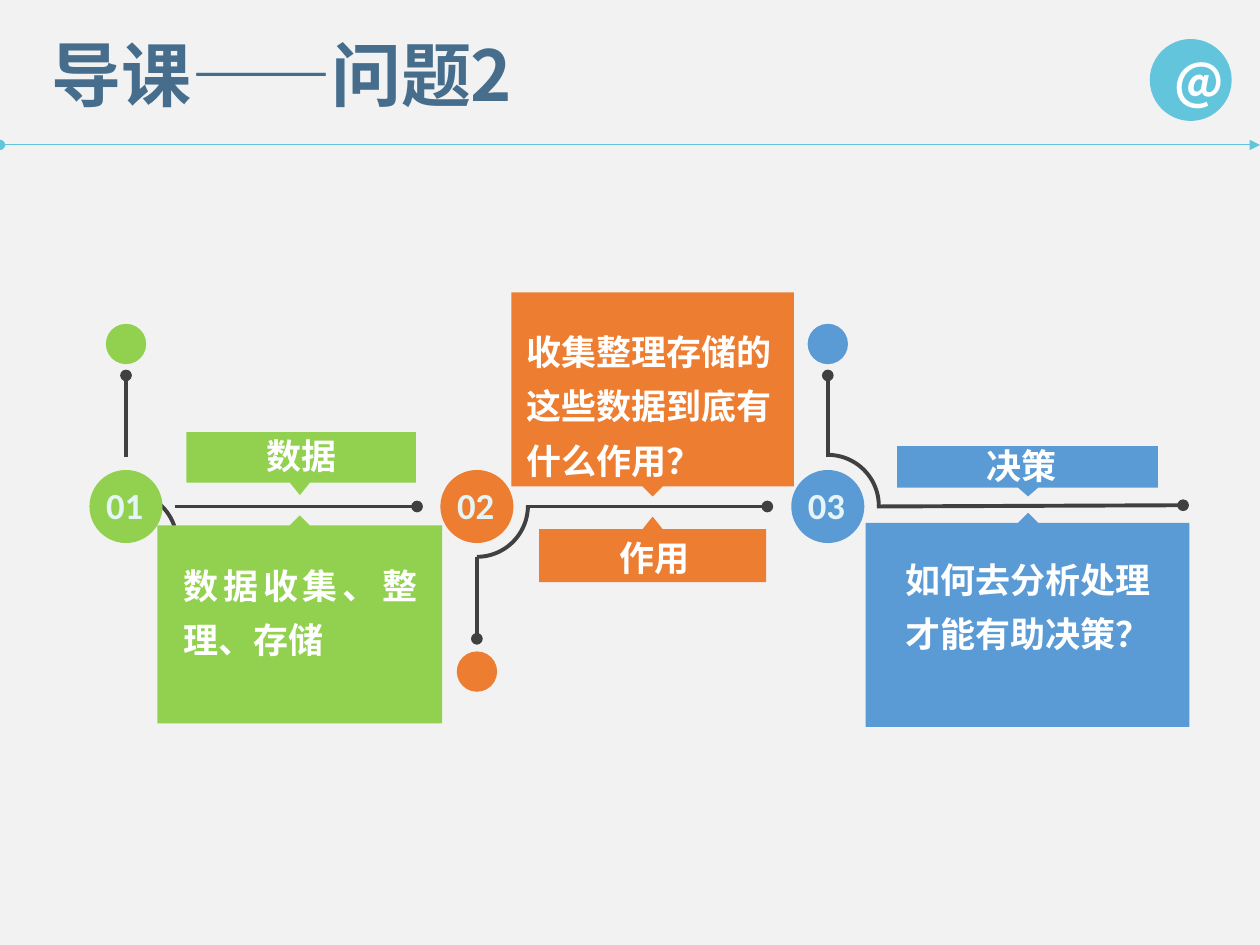
import dataclasses

import pptx
import pptx.dml.color
import pptx.enum.shapes
import pptx.enum.text
import pptx.oxml
import pptx.oxml.ns
import pptx.util

Inches = pptx.util.Inches
Pt = pptx.util.Pt
ALIGN = pptx.enum.text.PP_ALIGN
SHAPE = pptx.enum.shapes.MSO_SHAPE


@dataclasses.dataclass(frozen=True)
class Theme:
    background: str = "F2F2F2"
    title: str = "466E8C"
    accent: str = "62C5DC"
    line: str = "404040"
    white: str = "FFFFFF"
    number: str = "E5F5F7"
    green: str = "92D050"
    orange: str = "ED7D31"
    blue: str = "5B9BD5"
    cjk_font: str = "Noto Sans CJK SC"
    number_font: str = "Calibri"
    title_size: float = 40
    badge_size: float = 28
    text_size: float = 20
    number_size: float = 21
    line_width: float = 2.25
    body_leading: float = 1.3


THEME = Theme()
AXIS_Y = 4.02
FIRST_CENTRE = 1.0
STEP_GAP = 2.785


@dataclasses.dataclass(frozen=True)
class Callout:
    """A box whose pointer tip lies above or below its body."""
    left: float
    top: float
    width: float
    height: float
    tip_y: float
    text: str
    text_area: tuple
    align: object = ALIGN.CENTER
    label: bool = False


@dataclasses.dataclass(frozen=True)
class Step:
    number: str
    colour: str
    pointer_x: float
    rises: bool
    arc_top: float
    line_end: tuple
    callouts: tuple


STEPS = (
    Step("01", THEME.green, 2.38, True, 3.9, (3.31, 4.02), (
        Callout(1.48, 3.43, 1.82, 0.4, 3.93, "数据", (2.01, 3.4, 0.77, 0.44), label=True),
        Callout(1.25, 4.17, 2.26, 1.57, 4.09, "数据收集、整理、存储",
                (1.36, 4.33, 2.05, 0.97), ALIGN.JUSTIFY),
    )),
    Step("02", THEME.orange, 5.18, False, 3.61, (6.09, 4.02), (
        Callout(4.28, 4.2, 1.8, 0.42, 4.1, "作用", (4.81, 4.21, 0.77, 0.44), label=True),
        Callout(4.06, 2.32, 2.24, 1.54, 3.94, "收集整理存储的这些数据到底有什么作用？",
                (4.08, 2.47, 2.35, 1.35), ALIGN.LEFT),
    )),
    Step("03", THEME.blue, 8.16, True, 3.61, (9.39, 4.01), (
        Callout(7.12, 3.54, 2.07, 0.33, 3.94, "决策", (7.72, 3.48, 0.77, 0.44), label=True),
        Callout(6.87, 4.15, 2.57, 1.62, 4.07, "如何去分析处理才能有助决策？",
                (6.99, 4.28, 2.34, 0.91)),
    )),
)


def rgb(colour):
    return pptx.dml.color.RGBColor.from_string(colour)


def fill_plain(shape, colour):
    shape.shadow.inherit = False
    shape.fill.solid()
    shape.fill.fore_color.rgb = rgb(colour)
    shape.line.fill.background()


def write_text(shape, text, size, colour, align, font=THEME.cjk_font, leading=None):
    frame = shape.text_frame
    frame.text = text
    para = frame.paragraphs[0]
    para.alignment = align
    if leading:
        para.line_spacing = leading
    span = para.runs[0]
    span.font.size = Pt(size)
    span.font.bold = True
    span.font.name = font
    span.font.color.rgb = rgb(colour)
    east_asian = pptx.oxml.parse_xml(
        f'<a:ea {pptx.oxml.ns.nsdecls("a")} typeface="{font}"/>')
    span.font._element.find(pptx.oxml.ns.qn("a:latin")).addnext(east_asian)


def add_text(page, area, text, size, colour, align=ALIGN.CENTER, wrap=False, **style):
    box = page.shapes.add_textbox(*map(Inches, area))
    box.text_frame.word_wrap = wrap
    write_text(box, text, size, colour, align, **style)


def add_line(page, start, end, colour, width, **ends):
    """Draw a line; ends may give headEnd and tailEnd types."""
    line = page.shapes.add_connector(
        pptx.enum.shapes.MSO_CONNECTOR.STRAIGHT, *map(Inches, start + end))
    line.line.color.rgb = rgb(colour)
    line.line.width = Pt(width)
    outline = line.line._get_or_add_ln()
    for tag, kind in ends.items():
        outline.append(pptx.oxml.parse_xml(
            f'<a:{tag} {pptx.oxml.ns.nsdecls("a")} type="{kind}"/>'))
    line._element.spPr.append(pptx.oxml.parse_xml(
        f'<a:effectLst {pptx.oxml.ns.nsdecls("a")}/>'))


def add_circle(page, centre_x, centre_y, diameter, colour):
    circle = page.shapes.add_shape(
        SHAPE.OVAL, Inches(centre_x - diameter / 2), Inches(centre_y - diameter / 2),
        Inches(diameter), Inches(diameter))
    fill_plain(circle, colour)
    return circle


def add_arc(page, centre_x, top, flipped):
    size = 0.81
    arc = page.shapes.add_shape(
        SHAPE.ARC, Inches(centre_x - size / 2), Inches(top), Inches(size), Inches(size))
    arc.shadow.inherit = False
    arc.fill.background()
    arc.line.color.rgb = rgb(THEME.line)
    arc.line.width = Pt(THEME.line_width)
    if flipped:
        arc._element.spPr.xfrm.set("flipV", "1")


def add_callout(page, callout, pointer_x, colour):
    right, bottom = callout.left + callout.width, callout.top + callout.height
    near, far = (callout.top, bottom) if callout.tip_y < callout.top else (bottom, callout.top)
    points = [(callout.left, near), (pointer_x - 0.08, near), (pointer_x, callout.tip_y),
              (pointer_x + 0.08, near), (right, near), (right, far), (callout.left, far)]
    corners = [(Inches(x), Inches(y)) for x, y in points]
    builder = page.shapes.build_freeform(*corners[0])
    builder.add_line_segments(corners[1:], close=True)
    fill_plain(builder.convert_to_shape(), colour)
    add_text(page, callout.text_area, callout.text, THEME.text_size, THEME.white,
             callout.align, wrap=not callout.label,
             leading=None if callout.label else THEME.body_leading)


def add_header(page):
    add_text(page, (0.31, 0.2, 6.94, 0.77), "导课——问题2", THEME.title_size, THEME.title,
             ALIGN.LEFT, wrap=True)
    add_line(page, (0, 1.15), (10, 1.15), THEME.accent, 0.5,
             headEnd="oval", tailEnd="triangle")
    badge = add_circle(page, 9.45, 0.635, 0.65, THEME.accent)
    badge.text_frame.vertical_anchor = pptx.enum.text.MSO_ANCHOR.MIDDLE
    write_text(badge, "@", THEME.badge_size, THEME.white, ALIGN.CENTER)


def add_track(page, step, centre_x):
    """Draw the arc, the axis line and the upright stub of a step."""
    add_arc(page, centre_x, step.arc_top, not step.rises)
    stub = (3.63, 2.98) if step.rises else (4.42, 5.07)
    for start, end in (((centre_x + 0.39, AXIS_Y), step.line_end),
                       ((centre_x, stub[0]), (centre_x, stub[1]))):
        add_line(page, start, end, THEME.line, THEME.line_width, tailEnd="oval")


def add_markers(page, step, centre_x):
    add_circle(page, centre_x, AXIS_Y, 0.58, step.colour)
    add_text(page, (centre_x - 0.26, 3.78, 0.5, 0.45), step.number, THEME.number_size,
             THEME.number, font=THEME.number_font)
    add_circle(page, centre_x, 2.73 if step.rises else 5.33, 0.32, step.colour)


def main():
    deck = pptx.Presentation()
    deck.slide_width, deck.slide_height = Inches(10), Inches(7.5)
    page = deck.slides.add_slide(deck.slide_layouts[6])
    page.background.fill.solid()
    page.background.fill.fore_color.rgb = rgb(THEME.background)

    add_header(page)
    centres = [FIRST_CENTRE + STEP_GAP * index for index in range(len(STEPS))]
    for step, centre_x in zip(STEPS, centres):
        add_track(page, step, centre_x)
    for step in STEPS:
        for callout in step.callouts:
            add_callout(page, callout, step.pointer_x, step.colour)
    for step, centre_x in zip(STEPS, centres):
        add_markers(page, step, centre_x)
    deck.save("out.pptx")


if __name__ == "__main__":
    main()
